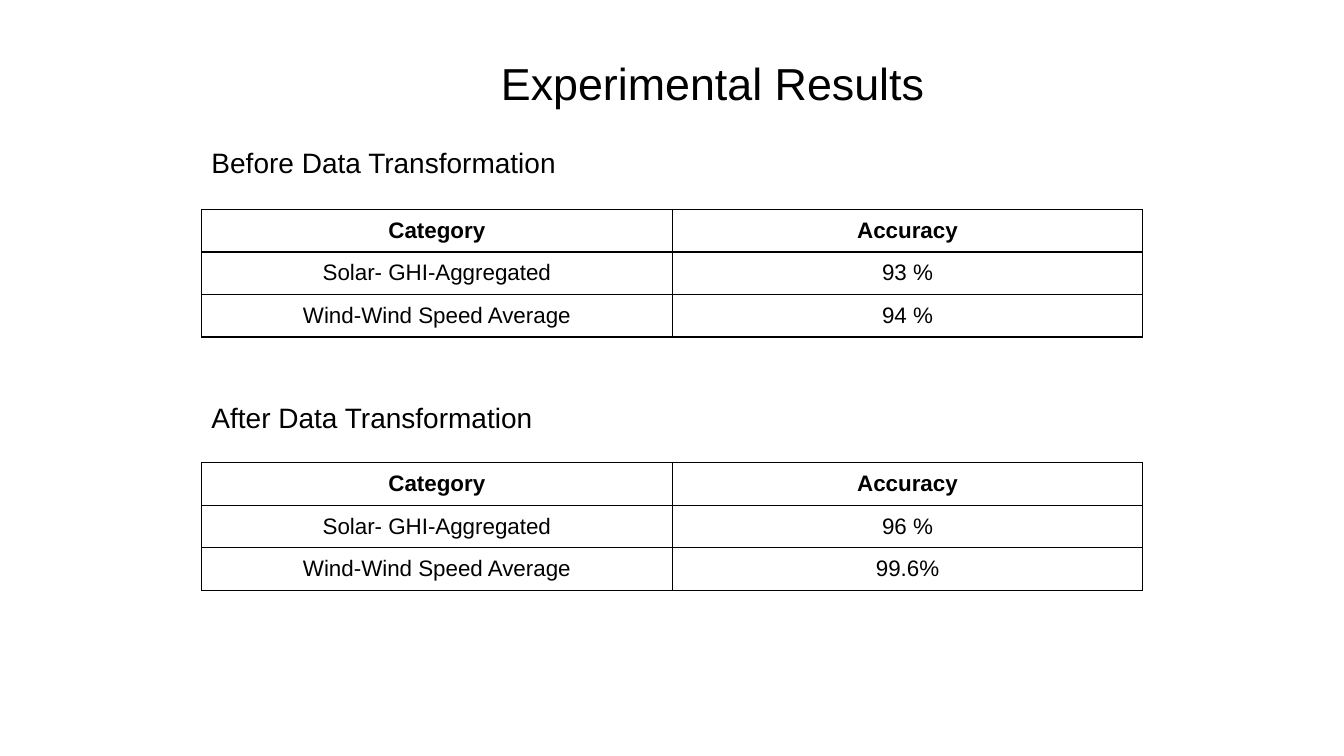
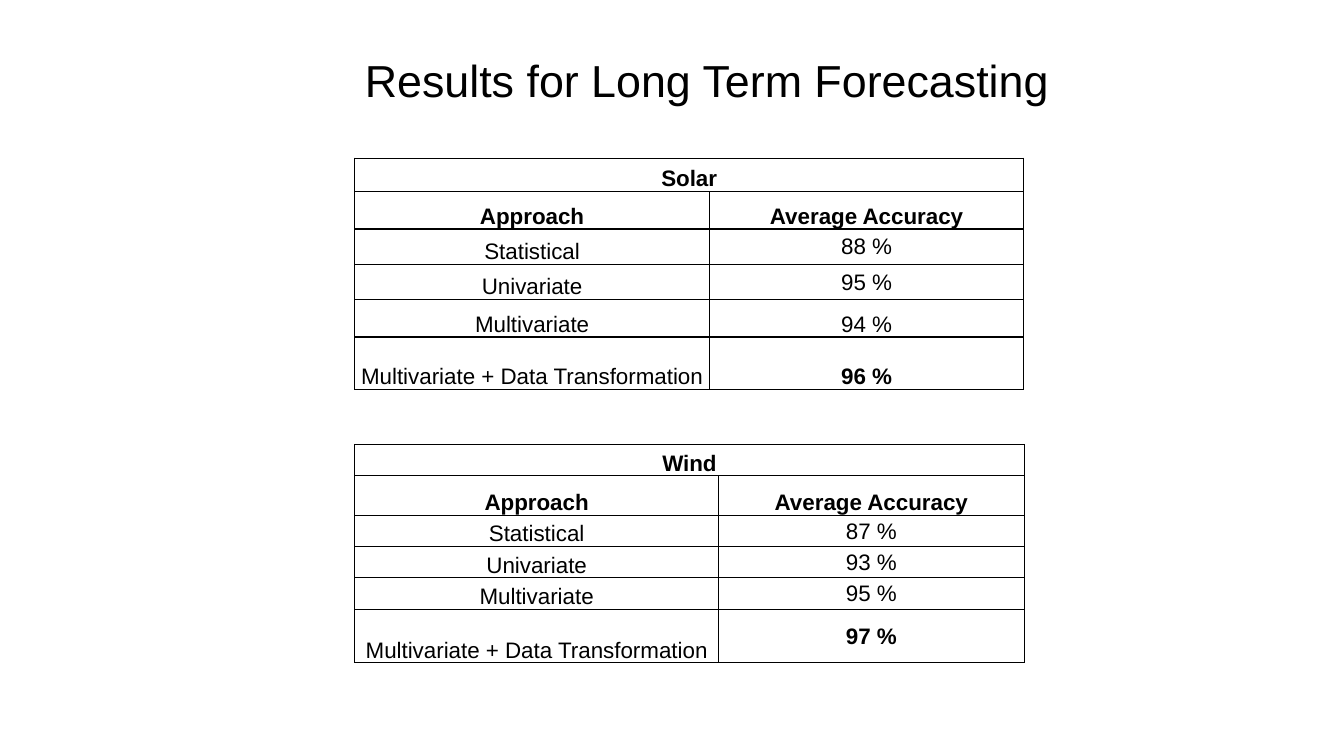
import dataclasses

import lxml.etree
import pptx
import pptx.dml.color
import pptx.enum.text
import pptx.oxml.ns
import pptx.util

Cm = pptx.util.Cm
Pt = pptx.util.Pt
ANCHOR = pptx.enum.text.MSO_ANCHOR
ALIGN = pptx.enum.text.PP_ALIGN

FONT = "Arial"
BLACK = "000000"
TITLE_SIZE, HEAD_SIZE, CELL_SIZE = 32, 20, 16
MID, LOW = ANCHOR.MIDDLE, ANCHOR.BOTTOM


@dataclasses.dataclass(frozen=True)
class Box:
    left: float
    top: float
    width: float
    height: float


@dataclasses.dataclass(frozen=True)
class Inset:
    side: float
    top: float


@dataclasses.dataclass(frozen=True)
class Grid:
    """Table in cm; anchors holds one entry per row for the right column."""
    left: float
    top: float
    widths: tuple[float, ...]
    heights: tuple[float, ...]
    rows: tuple[tuple[str, ...], ...]
    anchors: tuple
    label: object
    inset: Inset
    bold: tuple[tuple[int, int], ...]


def paint(target, color: str) -> None:
    target.rgb = pptx.dml.color.RGBColor.from_string(color)


def style(frame, size: int, align=ALIGN.LEFT, bold: bool = False) -> None:
    for para in frame.paragraphs:
        para.alignment = align
        for run in para.runs:
            run.font.name = FONT
            run.font.size = Pt(size)
            run.font.bold = bold
            paint(run.font.color, BLACK)


def add_slide(deck, text: str, box: Box):
    slide = deck.slides.add_slide(deck.slide_layouts[5])
    title = slide.shapes.title
    title.left, title.top = Cm(box.left), Cm(box.top)
    title.width, title.height = Cm(box.width), Cm(box.height)
    frame = title.text_frame
    frame.text = text
    frame.auto_size = pptx.enum.text.MSO_AUTO_SIZE.NONE
    frame.vertical_anchor = ANCHOR.TOP
    style(frame, TITLE_SIZE)
    return slide


def add_head(slide, text: str, box: Box) -> None:
    shape = slide.shapes.add_textbox(
        Cm(box.left), Cm(box.top), Cm(box.width), Cm(box.height))
    shape.text_frame.word_wrap = True
    shape.text_frame.text = text
    style(shape.text_frame, HEAD_SIZE)


def add_lines(cell) -> None:
    """Draw a thin line on all four sides of a cell."""
    name = pptx.oxml.ns.qn
    props = cell._tc.get_or_add_tcPr()
    for side in ("a:lnL", "a:lnR", "a:lnT", "a:lnB"):
        line = lxml.etree.SubElement(props, name(side), w=str(Pt(1)))
        fill = lxml.etree.SubElement(line, name("a:solidFill"))
        lxml.etree.SubElement(fill, name("a:srgbClr"), val=BLACK)


def add_grid(slide, grid: Grid) -> None:
    table = slide.shapes.add_table(
        len(grid.heights), len(grid.widths), Cm(grid.left), Cm(grid.top),
        Cm(sum(grid.widths)), Cm(sum(grid.heights))).table
    table.first_row = table.horz_banding = False
    for col, width in zip(table.columns, grid.widths):
        col.width = Cm(width)
    for row, height in zip(table.rows, grid.heights):
        row.height = Cm(height)
    for y, texts in enumerate(grid.rows):
        if len(texts) == 1:
            table.cell(y, 0).merge(table.cell(y, len(grid.widths) - 1))
        for x in range(len(grid.widths)):
            cell = table.cell(y, x)
            cell.margin_left = cell.margin_right = Cm(grid.inset.side)
            cell.margin_top, cell.margin_bottom = Cm(grid.inset.top), 0
            cell.vertical_anchor = grid.anchors[y] if x else grid.label
            if x < len(texts):
                cell.text_frame.text = texts[x]
                style(cell.text_frame, CELL_SIZE, ALIGN.CENTER,
                      (y, x) in grid.bold)
            add_lines(cell)
            cell.fill.background()


def trial_grid(top: float, solar: str, wind: str) -> Grid:
    rows = (("Category", "Accuracy"),
            ("Solar- GHI-Aggregated", solar),
            ("Wind-Wind Speed Average", wind))
    return Grid(5.08, top, (11.86,) * 2, (1.07,) * 3, rows, (MID,) * 3, MID,
                Inset(0.18, 0), ((0, 0), (0, 1)))


def term_grid(name: str, top: float, widths: tuple[float, ...],
              heights: tuple[float, ...], scores: tuple[str, ...],
              anchors: tuple) -> Grid:
    labels = ("Statistical", "Univariate", "Multivariate",
              "Multivariate + Data Transformation")
    rows = ((name,), ("Approach", "Average Accuracy"), *zip(labels, scores))
    return Grid(8.94, top, widths, heights, rows, (LOW, LOW, *anchors), LOW,
                Inset(0.03, 0.03), ((0, 0), (1, 0), (1, 1), (5, 1)))


def main() -> None:
    deck = pptx.Presentation()
    deck.slide_width, deck.slide_height = Cm(33.87), Cm(19.05)

    slide = add_slide(deck, "Experimental Results",
                      Box(12.37, 1.27, 14.43, 1.63))
    for text, top, grid in (
            ("Before Data Transformation", 3.53,
             trial_grid(5.28, "93 %", "94 %")),
            ("After Data Transformation", 9.96,
             trial_grid(11.66, "96 %", "99.6%"))):
        add_head(slide, text, Box(5.08, top, 14.43, 1.12))
        add_grid(slide, grid)

    slide = add_slide(deck, "Results for Long Term Forecasting",
                      Box(8.94, 1.19, 20.7, 1.63))
    add_grid(slide, term_grid(
        "Solar", 3.99, (8.94, 7.92), (0.84, 0.94, 0.89, 0.89, 0.94, 1.32),
        ("88 %", "95 %", "94 %", "96 %"), (MID, MID, LOW, LOW)))
    add_grid(slide, term_grid(
        "Wind", 11.2, (9.17, 7.7), (0.79, 0.99, 0.79, 0.79, 0.79, 1.35),
        ("87 %", "93 %", "95 %", "97 %"), (MID,) * 4))

    deck.save("out.pptx")


if __name__ == "__main__":
    main()
